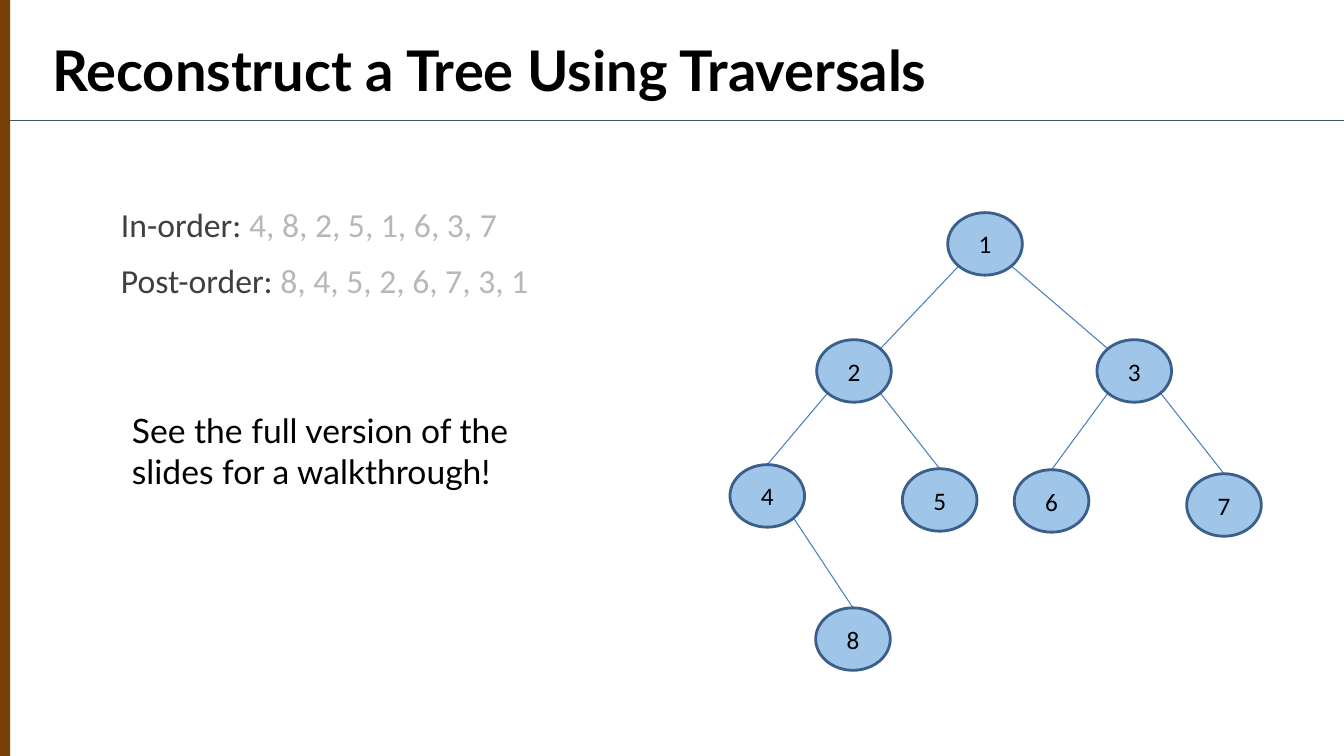
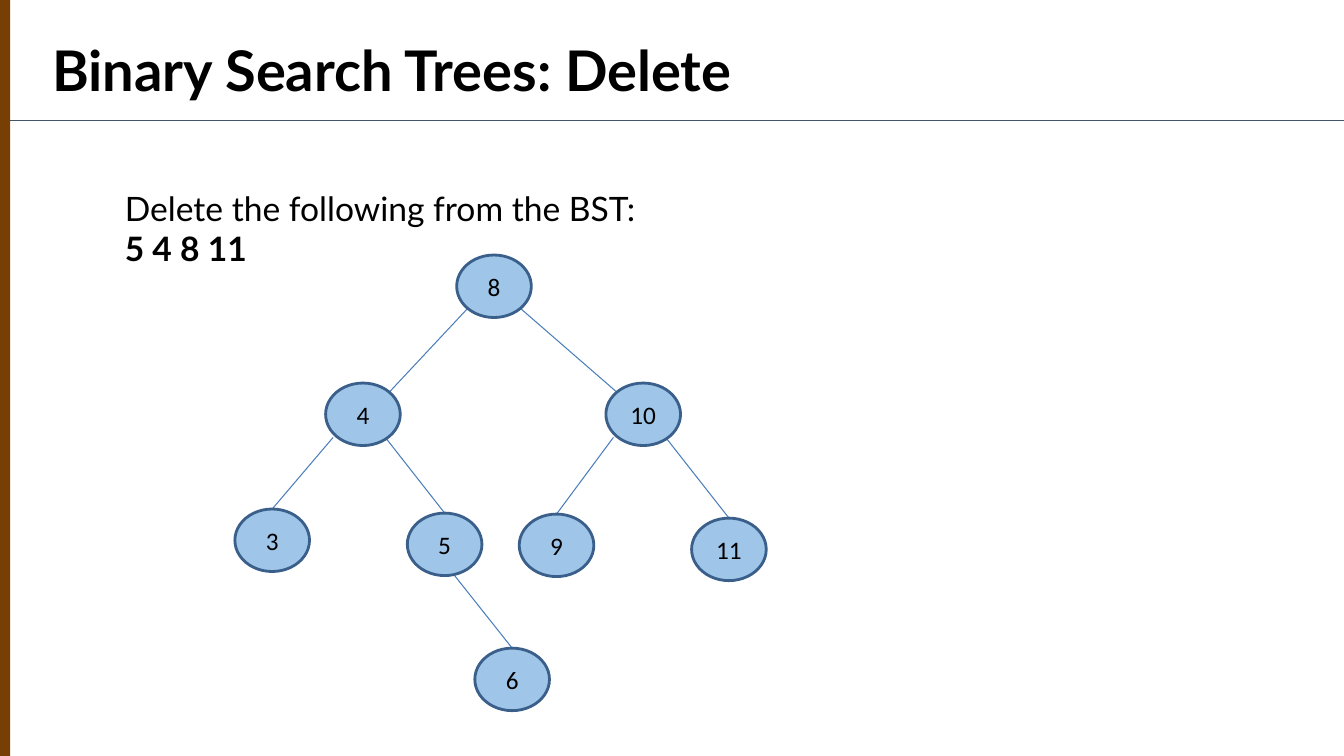
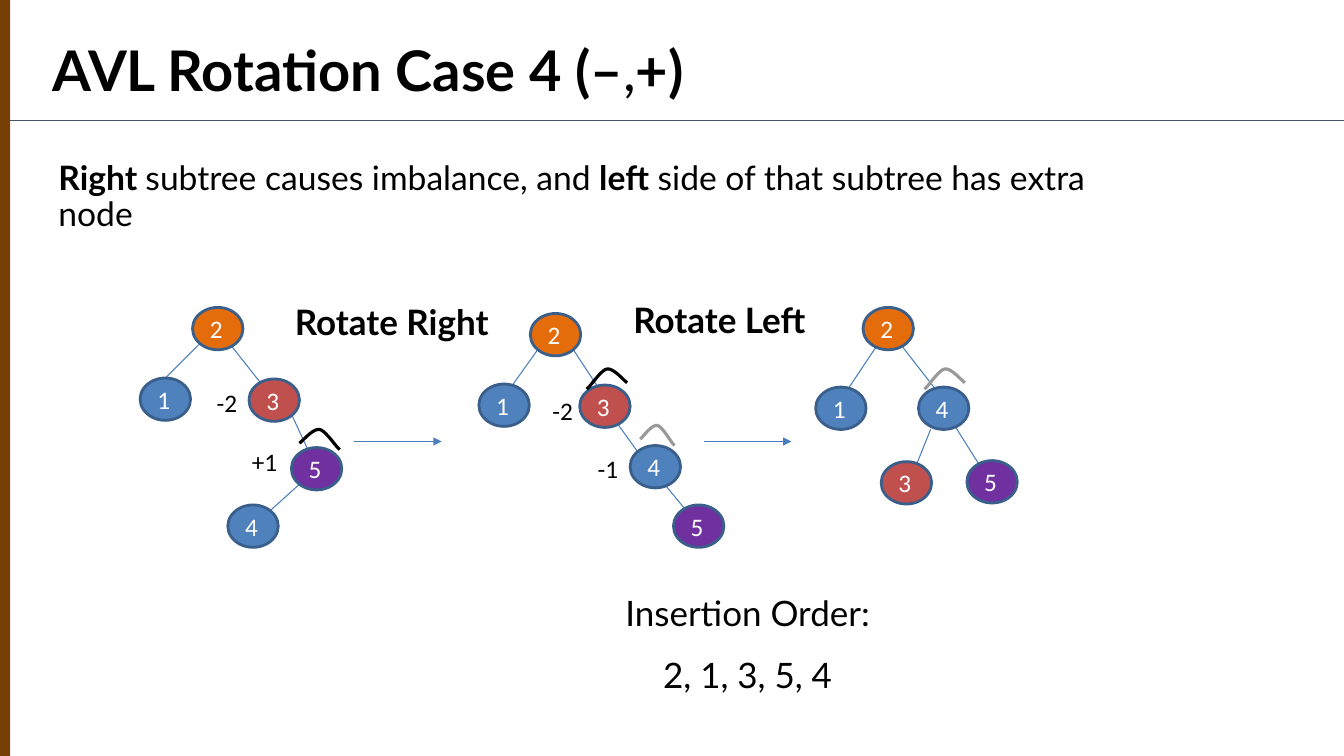
from dataclasses import dataclass

from lxml import etree
from pptx import Presentation, util as u
from pptx.dml import color
from pptx.enum import shapes as kinds, text as t
from pptx.oxml import ns

# The slide is a grid of 13.33 columns and 7.5 rows
WIDTH, HEIGHT = u.Inches(13.33), u.Inches(7.5)
COLUMNS, ROWS = 13.33, 7.5
TITLE_ONLY = 5


@dataclass(frozen=True)
class Theme:
    heading: str = "Lato"
    label: str = "Calibri"
    title_size: int = 40
    caption_size: int = 25
    body_size: int = 24
    node_size: int = 18
    black: str = "000000"
    white: str = "FFFFFF"
    dark_grey: str = "3F3F3F"
    light_grey: str = "B7B7B7"
    cap_grey: str = "999999"
    band: str = "783F04"
    rule: str = "44546A"
    edge: str = "4A7EBB"
    outline: str = "3A5F8B"
    pale_blue: str = "9FC5E8"
    blue: str = "4F81BD"
    orange: str = "E46C0A"
    red: str = "C0504D"
    purple: str = "7030A0"


THEME = Theme()
ROTATION_FILLS = {"1": THEME.blue, "2": THEME.orange, "3": THEME.red,
                  "4": THEME.blue, "5": THEME.purple}
LARGE_NODE, SMALL_NODE = (0.74, 0.62), (0.5, 0.42)

# Where an edge meets a node, as shares of the node's box
PORTS = {
    "N": (0.5, 0), "C": (0.5, 0.5), "I": (0.5, 0.3),
    "NW": (0.15, 0.15), "NE": (0.85, 0.15),
    "SW": (0.15, 0.85), "SE": (0.85, 0.85),
    "NNW": (0.3, 0.2), "NNE": (0.66, 0.19), "SSW": (0.24, 1),
    "WSW": (0.1, 0.87), "SSE": (0.8, 0.87), "S": (0.6, 0.95),
}

# Two Bezier curves that form a subtree cap, as shares of its box
CAP_CURVES = (
    ((0, 0.7), (0.08, 0.6), (0.33, 0), (0.5, 0.05)),
    ((0.5, 0.05), (0.65, 0.1), (0.9, 0.86), (1, 1)),
)
CAP_STEPS = 10


def across(columns):
    return round(WIDTH * columns / COLUMNS)


def down(rows):
    return round(HEIGHT * rows / ROWS)


def box(left, top, width, height):
    return across(left), down(top), across(width), down(height)


def rgb(value):
    return color.RGBColor.from_string(value)


def apply(target, values):
    for name, value in values.items():
        setattr(target, name, value)


# Text
def run_of(text, size, ink=THEME.black, bold=False, name=THEME.heading):
    return text, ink, {"size": u.Pt(size), "bold": bold, "name": name}


def write(shape, paragraphs, inset=(0.1, 0.1), anchor=t.MSO_ANCHOR.TOP,
          **paragraph_format):
    """Fill a shape with paragraphs, each a list of runs; None breaks a line."""
    frame = shape.text_frame
    side, end = across(inset[0]), down(inset[1])
    apply(frame, {"word_wrap": True, "auto_size": t.MSO_AUTO_SIZE.NONE,
                  "vertical_anchor": anchor,
                  "margin_left": side, "margin_right": side,
                  "margin_top": end, "margin_bottom": end})
    space_before = paragraph_format.pop("space_before", u.Pt(0))
    for index, runs in enumerate(paragraphs):
        paragraph = frame.add_paragraph() if index else frame.paragraphs[0]
        apply(paragraph, {"alignment": t.PP_ALIGN.LEFT, **paragraph_format})
        if index:
            paragraph.space_before = space_before
        for item in runs:
            if item is None:
                paragraph.add_line_break()
                continue
            text, ink, font_format = item
            run = paragraph.add_run()
            run.text = text
            apply(run.font, font_format)
            run.font.color.rgb = rgb(ink)


def add_text(slide, place, paragraphs, **options):
    write(slide.shapes.add_textbox(*box(*place)), paragraphs, **options)


# Lines and shapes
def add_line(slide, start, end, ink=THEME.edge, arrow=False):
    line = slide.shapes.add_connector(
        kinds.MSO_CONNECTOR.STRAIGHT,
        across(start[0]), down(start[1]), across(end[0]), down(end[1]))
    line.line.width = u.Pt(0.75)
    line.line.color.rgb = rgb(ink)
    if arrow:
        etree.SubElement(line.line._get_or_add_ln(), ns.qn("a:tailEnd"),
                         type="triangle")
    etree.SubElement(line.element.spPr, ns.qn("a:effectLst"))
    return line


def add_filled(slide, kind, place, fill, outline=None):
    shape = slide.shapes.add_shape(kind, *box(*place))
    shape.shadow.inherit = False
    shape.fill.solid()
    shape.fill.fore_color.rgb = rgb(fill)
    if outline:
        shape.line.width = u.Pt(2)
        shape.line.color.rgb = rgb(outline)
    else:
        shape.line.fill.background()
    return shape


def add_tree(slide, nodes, edges, size=LARGE_NODE, fills=None):
    """Nodes map a label to its corner; an edge reads 'label port label port'."""
    def port(label, name):
        return [corner + length * share for corner, length, share
                in zip(nodes[label], size, PORTS[name])]

    for edge in edges:
        parent, leaving, child, entering = edge.split()
        add_line(slide, port(parent, leaving), port(child, entering))
    for label, corner in nodes.items():
        fill = fills[label] if fills else THEME.pale_blue
        ink = THEME.white if fills else THEME.black
        node = add_filled(slide, kinds.MSO_SHAPE.OVAL, (*corner, *size),
                          fill, THEME.outline)
        write(node, [[run_of(label, THEME.node_size, ink, name=THEME.label)]],
              inset=(0.1, 0.05), anchor=t.MSO_ANCHOR.MIDDLE,
              alignment=t.PP_ALIGN.LEFT if fills else t.PP_ALIGN.CENTER)


def add_cap(slide, left, top, ink, width=0.4, mirrored=False):
    height = 0.21
    points = []
    for a, b, c, d in CAP_CURVES:
        for step in range(CAP_STEPS + 1):
            s = step / CAP_STEPS
            x, y = ((1 - s) ** 3 * p + 3 * (1 - s) ** 2 * s * q
                    + 3 * (1 - s) * s ** 2 * r + s ** 3 * v
                    for p, q, r, v in zip(a, b, c, d))
            x = 1 - x if mirrored else x
            points.append((across(left + width * x), down(top + height * y)))
    builder = slide.shapes.build_freeform(*points[0])
    builder.add_line_segments(points[1:], close=False)
    cap = builder.convert_to_shape()
    cap.shadow.inherit = False
    cap.fill.background()
    cap.line.width = u.Pt(2.25)
    cap.line.color.rgb = rgb(ink)


# Shared frame
def decorate(layout, slide):
    """Move the side band and the title rule to the layout."""
    rule = add_line(slide, (0.1, 1.2), (COLUMNS, 1.2), THEME.rule)
    band = add_filled(slide, kinds.MSO_SHAPE.RECTANGLE, (0, 0, 0.1, ROWS),
                      THEME.band)
    for number, shape in enumerate((rule, band), start=101):
        shape.element.xpath("./*/p:cNvPr")[0].set("id", str(number))
        layout.shapes.element.append(shape.element)


def add_slide(presentation, *title_parts):
    """Title parts alternate between bold and regular."""
    slide = presentation.slides.add_slide(
        presentation.slide_layouts[TITLE_ONLY])
    title = slide.shapes.title
    apply(title, dict(zip(("left", "top", "width", "height"),
                          box(0.42, 0.25, 12.91, 1.21))))
    write(title, [[run_of(part, THEME.title_size, bold=index % 2 == 0)
                   for index, part in enumerate(title_parts)]])
    return slide


# Slides
def traversal_slide(presentation):
    slide = add_slide(presentation, "Reconstruct a Tree Using Traversals")
    orders = {"In-order: ": "4, 8, 2, 5, 1, 6, 3, 7",
              "Post-order: ": "8, 4, 5, 2, 6, 7, 3, 1"}
    add_text(slide, (1.2, 2.02, 5.2, 1.2),
             [[run_of(text, THEME.body_size, ink, name=THEME.label)
               for text, ink in ((name, THEME.dark_grey),
                                 (order, THEME.light_grey))]
              for name, order in orders.items()],
             inset=(0, 0.05), line_spacing=0.9, space_before=u.Pt(14))
    add_text(slide, (1.21, 3.97, 4.38, 1.92),
             [[run_of("See the full version of the slides for a walkthrough!",
                      THEME.body_size)]])
    add_tree(slide,
             {"1": (9.4, 2.11), "2": (8.1, 3.37), "3": (10.88, 3.37),
              "4": (7.24, 4.61), "5": (8.95, 4.65), "6": (10.06, 4.66),
              "7": (11.77, 4.7), "8": (8.09, 6.03)},
             ["1 SW 2 NE", "1 SE 3 NW", "2 SW 4 N", "2 SE 5 N",
              "3 SW 6 N", "3 SE 7 N", "4 SE 8 N"])
    return slide


def deletion_slide(presentation):
    slide = add_slide(presentation, "Binary Search Trees: Delete")
    add_tree(slide,
             {"8": (4.53, 2.53), "4": (3.23, 3.8), "10": (6.01, 3.8),
              "3": (2.33, 5.05), "5": (4.04, 5.09), "9": (5.15, 5.1),
              "11": (6.86, 5.14), "6": (4.71, 6.43)},
             ["8 SW 4 NE", "8 SE 10 NW", "4 WSW 3 N", "4 SSE 5 N",
              "10 WSW 9 N", "10 SSE 11 N", "5 S 6 N"])
    add_text(slide, (1.14, 1.76, 5.27, 1),
             [[run_of("Delete the following from the BST:", THEME.body_size),
               None, run_of("5 4 8 11", THEME.body_size, bold=True)]])


def rotation_slide(presentation):
    slide = add_slide(presentation, "AVL Rotation Case 4 (–", ",", "+)")
    sentence = ("Right ", "subtree causes imbalance, and ", "left",
                " side of that subtree has extra node")
    add_text(slide, (0.58, 1.55, 11, 0.9),
             [[run_of(part, THEME.body_size, bold=index % 2 == 0)
               for index, part in enumerate(sentence)]],
             inset=(0, 0.05), line_spacing=0.9)

    # Before, between and after the two rotations
    trees = (
        ({"1": (1.39, 3.75), "4": (2.26, 5.01), "3": (2.47, 3.76),
          "2": (1.91, 3.05), "5": (2.89, 4.44)},
         ["2 SW 1 N", "2 C 3 C", "3 SE 5 C", "5 C 4 C"]),
        ({"5": (6.68, 5.01), "1": (4.75, 3.81), "4": (6.25, 4.42),
          "2": (5.26, 3.11), "3": (5.75, 3.82)},
         ["2 SW 1 I", "2 SE 3 I", "3 C 4 NW", "4 NW 5 NNW"]),
        ({"1": (8.09, 3.84), "4": (9.11, 3.84), "2": (8.56, 3.05),
          "3": (8.74, 4.58), "5": (9.59, 4.57)},
         ["2 C 1 I", "2 C 4 I", "4 SSW 3 NNE", "4 C 5 NNW"]),
    )
    for nodes, edges in trees:
        add_tree(slide, nodes, edges, SMALL_NODE, ROTATION_FILLS)
    for left in (3.51, 6.98):
        add_line(slide, (left, 4.38), (left + 0.87, 4.38), arrow=True)

    # Step names and balance factors
    for text, left, top in (("Rotate Right", 2.52, 2.88),
                            ("Rotate Left", 5.77, 2.86)):
        add_text(slide, (left, top, 2.73, 0.75),
                 [[run_of(text, THEME.caption_size, bold=True)]],
                 alignment=t.PP_ALIGN.CENTER)
    for text, left, top in (("-2", 2.05, 3.79), ("+1", 2.4, 4.38),
                            ("-2", 5.38, 3.87), ("-1", 5.83, 4.45)):
        add_text(slide, (left, top, 0.76, 0.4),
                 [[run_of(text, THEME.node_size, name=THEME.label)]],
                 inset=(0.1, 0.05))

    # Subtree caps
    add_cap(slide, 2.97, 4.25, THEME.black)
    add_cap(slide, 6.35, 4.21, THEME.cap_grey, width=0.34)
    add_cap(slide, 5.82, 3.65, THEME.black, mirrored=True)
    add_cap(slide, 9.17, 3.65, THEME.cap_grey, mirrored=True)

    add_text(slide, (6.05, 5.77, 2.73, 1.15),
             [[run_of(line, THEME.caption_size)]
              for line in ("Insertion Order:", "2, 1, 3, 5, 4")],
             alignment=t.PP_ALIGN.CENTER, space_before=u.Pt(14))


def main():
    presentation = Presentation()
    apply(presentation, {"slide_width": WIDTH, "slide_height": HEIGHT})
    first = traversal_slide(presentation)
    decorate(first.slide_layout, first)
    deletion_slide(presentation)
    rotation_slide(presentation)
    presentation.save("out.pptx")


if __name__ == "__main__":
    main()
